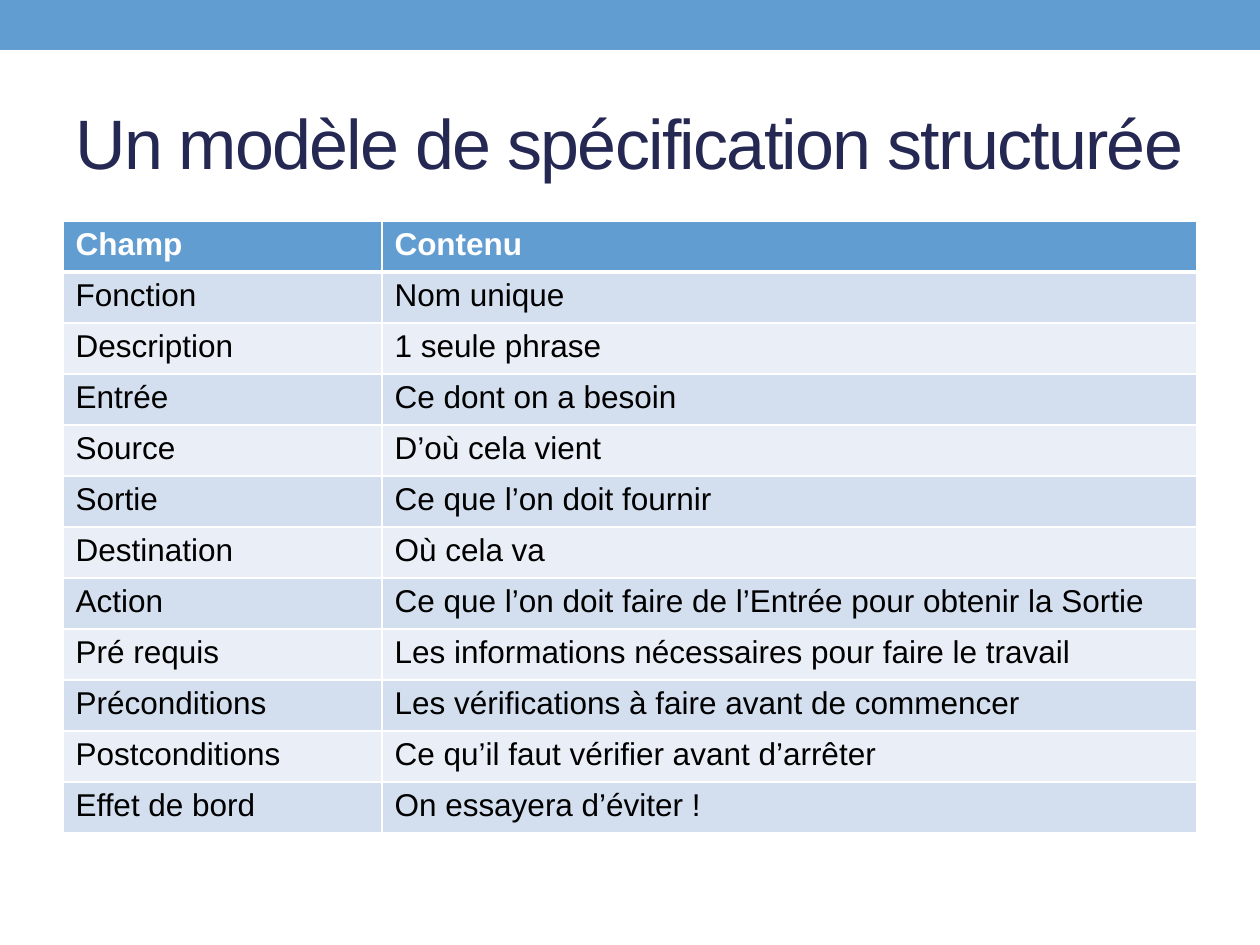
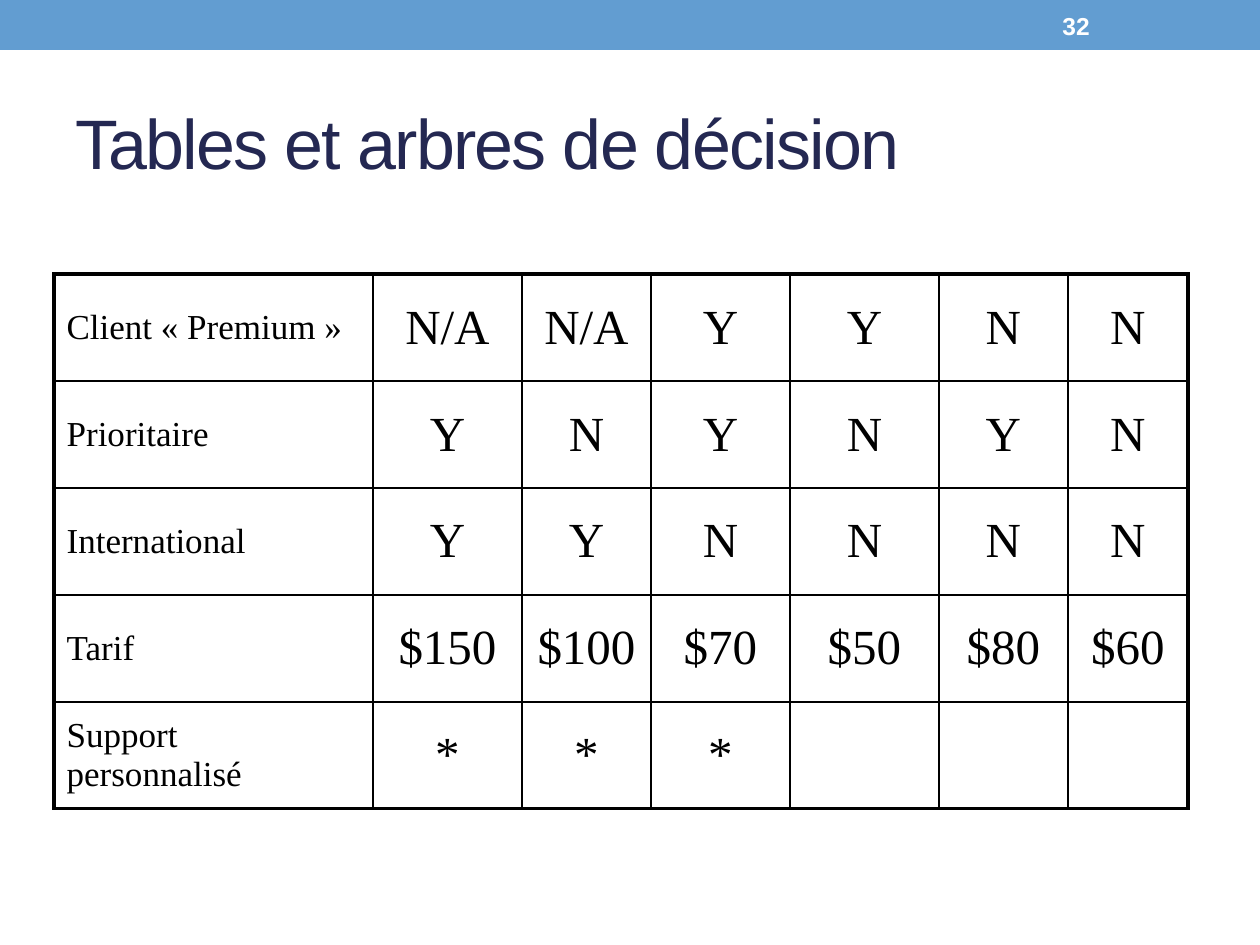
from lxml.etree import SubElement
from pptx import Presentation
from pptx.dml.color import RGBColor
from pptx.enum.shapes import MSO_SHAPE as Preset
from pptx.enum.text import MSO_ANCHOR as Anchor, PP_ALIGN as Align
from pptx.oxml.ns import qn
from pptx.util import Emu, Pt

PX_PER_INCH = 126
SLIDE_WIDTH, SLIDE_HEIGHT = 1260, 945
BLANK_LAYOUT = 6

BLUE, NAVY, WHITE, BLACK = "629DD1", "242852", "FFFFFF", "000000"
BANDS = ("EAEFF7", "D3DFEE")
SANS, SERIF = "Arial", "Times New Roman"

FIELDS = [
    ("Champ", "Contenu"),
    ("Fonction", "Nom unique"),
    ("Description", "1 seule phrase"),
    ("Entrée", "Ce dont on a besoin"),
    ("Source", "D’où cela vient"),
    ("Sortie", "Ce que l’on doit fournir"),
    ("Destination", "Où cela va"),
    ("Action", "Ce que l’on doit faire de l’Entrée pour obtenir la Sortie"),
    ("Pré requis", "Les informations nécessaires pour faire le travail"),
    ("Préconditions", "Les vérifications à faire avant de commencer"),
    ("Postconditions", "Ce qu’il faut vérifier avant d’arrêter"),
    ("Effet de bord", "On essayera d’éviter !"),
]

DECISIONS = [
    ("Client « Premium »", "N/A", "N/A", "Y", "Y", "N", "N"),
    ("Prioritaire", "Y", "N", "Y", "N", "Y", "N"),
    ("International", "Y", "Y", "N", "N", "N", "N"),
    ("Tarif", "$150", "$100", "$70", "$50", "$80", "$60"),
    ("Support personnalisé", "*", "*", "*", "", "", ""),
]


def px(length):
    return Emu(round(length * 914400 / PX_PER_INCH))


def color(code):
    return RGBColor.from_string(code)


def set_font(para, name, size, code, bold=False):
    font = para.font
    font.name, font.size, font.bold = name, Pt(size), bold
    font.color.rgb = color(code)


class Composer:
    def __init__(self):
        self.deck = Presentation()
        self.deck.slide_width = px(SLIDE_WIDTH)
        self.deck.slide_height = px(SLIDE_HEIGHT)
        self.page = None

    def new_page(self, title):
        layout = self.deck.slide_layouts[BLANK_LAYOUT]
        self.page = self.deck.slides.add_slide(layout)
        self.band(0, 0, SLIDE_WIDTH, 50, BLUE)
        para = self.text(title, 63, 73, 1134, 136, 40, NAVY)
        para.runs[0].font._element.set("spc", "-100")

    def band(self, left, top, width, height, fill):
        shape = self.page.shapes.add_shape(
            Preset.RECTANGLE, px(left), px(top), px(width), px(height))
        shape.shadow.inherit = False
        shape.fill.solid()
        shape.fill.fore_color.rgb = color(fill)
        shape.line.fill.background()

    def text(self, words, left, top, width, height, size, code, bold=False):
        box = self.page.shapes.add_textbox(px(left), px(top), px(width), px(height))
        frame = box.text_frame
        frame.word_wrap = True
        frame.vertical_anchor = Anchor.MIDDLE
        para = frame.paragraphs[0]
        para.add_run().text = words
        set_font(para, SANS, size, code, bold)
        return para

    def page_number(self, number):
        self.text(str(number), 1050, 3, 147, 45, 14, WHITE, bold=True)

    def table(self, rows, left, top, widths, row_height, line, across, down, style):
        """Edge weights run top to bottom in across and left to right in down."""
        frame = self.page.shapes.add_table(
            len(rows), len(widths), px(left), px(top),
            px(sum(widths)), px(row_height * len(rows)))
        grid = frame.table
        grid.first_row = grid.horz_banding = False
        for column, width in zip(grid.columns, widths):
            column.width = px(width)
        for r, values in enumerate(rows):
            grid.rows[r].height = px(row_height)
            for c, value in enumerate(values):
                cell = grid.cell(r, c)
                weights = {"lnL": down[c], "lnR": down[c + 1],
                           "lnT": across[r], "lnB": across[r + 1]}
                self.borders(cell, weights, line)
                cell.text = value
                style(cell, r, c)

    def borders(self, cell, weights, line):
        properties = cell._tc.get_or_add_tcPr()
        for side, weight in weights.items():
            edge = SubElement(properties, qn(f"a:{side}"), w=str(Pt(weight)))
            fill = SubElement(edge, qn("a:solidFill"))
            SubElement(fill, qn("a:srgbClr"), val=line)

    def save(self):
        self.deck.save("out.pptx")


def style_field(cell, row, column):
    header = row == 0
    cell.fill.solid()
    cell.fill.fore_color.rgb = color(BLUE if header else BANDS[row % 2])
    set_font(cell.text_frame.paragraphs[0], SANS, 18, WHITE if header else BLACK, header)


def style_decision(cell, row, column):
    label = column == 0
    cell.fill.background()
    cell.vertical_anchor = Anchor.MIDDLE
    para = cell.text_frame.paragraphs[0]
    para.alignment = Align.LEFT if label else Align.CENTER
    set_font(para, SERIF, 20 if label else 28, BLACK)


def main():
    composer = Composer()

    composer.new_page("Un modèle de spécification structurée")
    composer.table(FIELDS, 63, 221, [319, 815], 51, WHITE,
                   across=[1, 3] + [1] * 11, down=[1] * 3, style=style_field)

    composer.new_page("Tables et arbres de décision")
    composer.page_number(32)
    composer.table(DECISIONS, 54, 274, [319, 149, 129, 139, 149, 129, 120], 107, BLACK,
                   across=[2.25] + [1] * 4 + [2.25],
                   down=[2.25] + [1] * 6 + [2.25], style=style_decision)

    composer.save()


if __name__ == "__main__":
    main()
